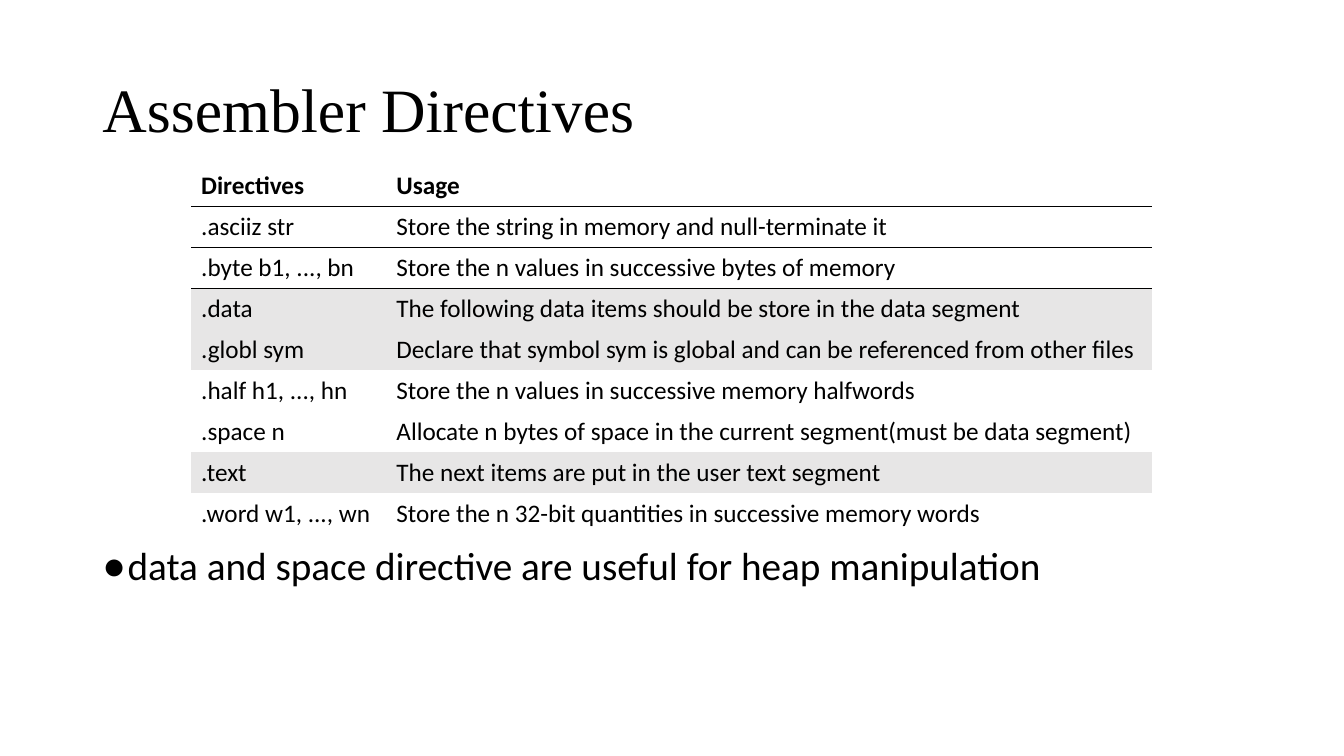
from lxml import etree
from pptx import Presentation
from pptx.dml.color import RGBColor
from pptx.enum.text import MSO_ANCHOR as Anchor, MSO_AUTO_SIZE as AutoSize, PP_ALIGN as Align
from pptx.oxml.ns import qn
from pptx.util import Emu, Pt

PX = 9525  # 96 px to the inch
COLORS = {"text": "000000", "line": "000000", "band": "E7E6E6"}
PLAIN_TABLE = "{2D5ABB26-0587-4C30-8999-92F81FD0307C}"

TITLE_BOX = (88, 38, 1104, 139)
TABLE_BOX = (182, 158, 915, 351)
NOTE_BOX = (88, 516, 1104, 135)
FIRST_COLUMN = 186

DIRECTIVES = [
    ("Directives", "Usage"),
    (".asciiz str", "Store the string in memory and null-terminate it"),
    (".byte b1, ..., bn", "Store the n values in successive bytes of memory"),
    (".data", "The following data items should be store in the data segment"),
    (".globl sym", "Declare that symbol sym is global and can be referenced from other files"),
    (".half h1, ..., hn", "Store the n values in successive memory halfwords"),
    (".space n", "Allocate n bytes of space in the current segment(must be data segment)"),
    (".text", "The next items are put in the user text segment"),
    (".word w1, ..., wn", "Store the n 32-bit quantities in successive memory words"),
]
BANDED_ROWS = {3, 4, 7}
RULED_ROWS = {0, 1}  # rows with a line below


def px(length):
    return Emu(length * PX)


def color(name):
    return RGBColor.from_string(COLORS[name])


def add_text(para, text, size, font="Calibri", bold=False):
    span = para.add_run()
    span.text = text
    span.font.name = font
    span.font.size = Pt(size)
    span.font.bold = bold
    span.font.color.rgb = color("text")


def place(shape, box):
    shape.left, shape.top, shape.width, shape.height = map(px, box)


def prepare_frame(shape, box, anchor):
    """Move a placeholder and return its formatted first paragraph."""
    place(shape, box)
    frame = shape.text_frame
    frame.auto_size = AutoSize.NONE
    frame.word_wrap = True
    frame.vertical_anchor = anchor
    para = frame.paragraphs[0]
    para.alignment = Align.LEFT
    para.line_spacing = 0.9
    para.space_before = Pt(0)
    return para


def fill_title(slide, box):
    para = prepare_frame(slide.shapes.title, box, Anchor.MIDDLE)
    add_text(para, "Assembler Directives", 44, "Times New Roman")


def fill_note(slide, box):
    para = prepare_frame(slide.placeholders[1], box, Anchor.TOP)
    properties = para._p.get_or_add_pPr()
    properties.set("marL", str(px(24)))
    properties.set("indent", str(px(-24)))
    etree.SubElement(properties, qn("a:buChar")).set("char", "●")
    add_text(para, "data and space directive are useful for heap manipulation", 28)


def add_border(cell, edge):
    """Draw a 1 pt line; call for the bottom edge before the top one."""
    line = etree.Element(qn(f"a:{edge}"), w=str(Pt(1)))
    fill = etree.SubElement(line, qn("a:solidFill"))
    etree.SubElement(fill, qn("a:srgbClr"), val=COLORS["line"])
    cell._tc.get_or_add_tcPr().insert(0, line)


def format_cell(cell, row, text):
    add_text(cell.text_frame.paragraphs[0], text, 18, bold=row == 0)
    if row in BANDED_ROWS:
        cell.fill.solid()
        cell.fill.fore_color.rgb = color("band")
    else:
        cell.fill.background()
    if row in RULED_ROWS:
        add_border(cell, "lnB")
    if row - 1 in RULED_ROWS:
        add_border(cell, "lnT")


def add_directive_table(slide, box):
    left, top, width, height = box
    frame = slide.shapes.add_table(len(DIRECTIVES), 2, *map(px, box))
    table = frame.table
    table.first_row = table.horz_banding = False
    table._tbl.tblPr.find(qn("a:tableStyleId")).text = PLAIN_TABLE
    table.columns[0].width = px(FIRST_COLUMN)
    table.columns[1].width = px(width - FIRST_COLUMN)
    for row, texts in enumerate(DIRECTIVES):
        table.rows[row].height = px(height // len(DIRECTIVES))
        for column, text in enumerate(texts):
            format_cell(table.cell(row, column), row, text)


def main():
    deck = Presentation()
    deck.slide_width, deck.slide_height = px(1280), px(720)
    page = deck.slides.add_slide(deck.slide_layouts[1])
    fill_title(page, TITLE_BOX)
    add_directive_table(page, TABLE_BOX)
    fill_note(page, NOTE_BOX)
    deck.save("out.pptx")


if __name__ == "__main__":
    main()
